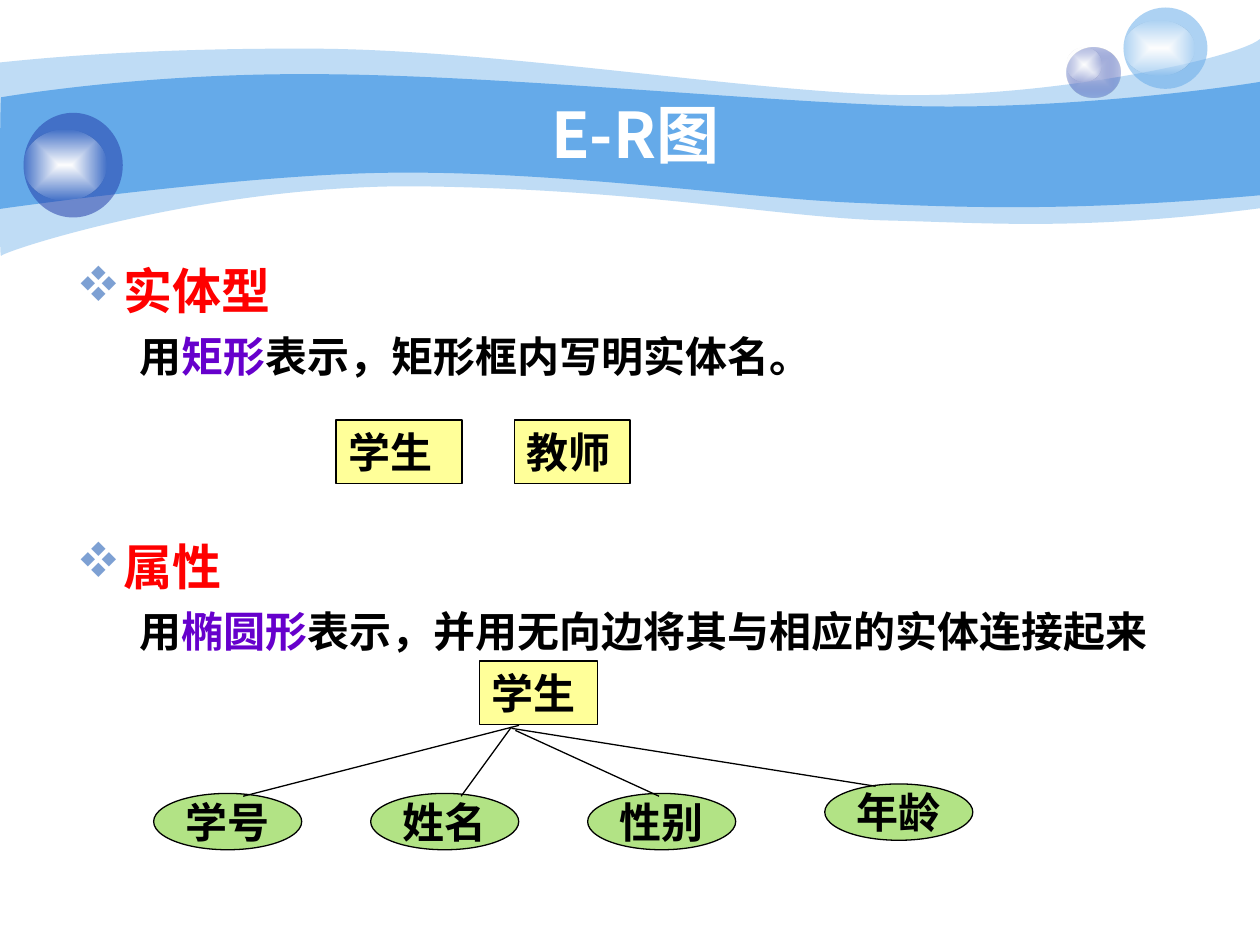
from dataclasses import dataclass

from lxml import etree
from pptx import Presentation
from pptx.dml.color import RGBColor
from pptx.enum.shapes import MSO_CONNECTOR, MSO_SHAPE
from pptx.enum.text import MSO_ANCHOR, PP_ALIGN
from pptx.oxml.ns import qn
from pptx.util import Pt

RECT, OVAL = MSO_SHAPE.RECTANGLE, MSO_SHAPE.OVAL
LINE = MSO_CONNECTOR.STRAIGHT
MIDDLE, TOP = MSO_ANCHOR.MIDDLE, MSO_ANCHOR.TOP
LEFT, CENTER = PP_ALIGN.LEFT, PP_ALIGN.CENTER


@dataclass
class Theme:
    font: str = "Noto Sans CJK SC"
    title: int = 36
    head: int = 28
    body: int = 24
    sky: str = "65AAE9"
    navy: str = "233DA9"
    mist: str = "C7CEE9"
    white: str = "FFFFFF"
    black: str = "000000"
    red: str = "FF0000"
    violet: str = "6600CC"
    bullet: str = "7DA0D3"
    entity: str = "FFFF99"
    trait: str = "B2E385"


def add(parent, tag, **attrs):
    return etree.SubElement(parent, qn(tag), attrs)


class Deck:
    def __init__(self, prs, theme):
        self.theme = theme
        self.slide = prs.slides.add_slide(prs.slide_layouts[5])
        self.shapes = self.slide.shapes

    def style(self, run, size, color):
        font = run.font
        font.name, font.size, font.bold = self.theme.font, Pt(size), True
        font.color.rgb = RGBColor.from_string(color)
        add(run._r.get_or_add_rPr(), "a:ea", typeface=self.theme.font)

    def paint(self, shape, color, alpha=100):
        shape.shadow.inherit = False
        shape.line.fill.background()
        shape.fill.solid()
        shape.fill.fore_color.rgb = RGBColor.from_string(color)
        if alpha < 100:
            tint = shape._element.spPr.find(qn("a:solidFill"))[0]
            add(tint, "a:alpha", val=str(alpha * 1000))

    def wave(self, start, parts, color, alpha=100):
        """Closed outline: six numbers make a cubic curve, two a line."""
        form = self.shapes.build_freeform(*map(Pt, start), scale=1.0)
        form.add_line_segments([tuple(map(Pt, p[-2:])) for p in parts])
        shape = form.convert_to_shape()
        steps = list(shape._element.spPr.iter(qn("a:lnTo")))
        for step, part in zip(steps, parts):
            if len(part) == 6:
                bend = etree.Element(qn("a:cubicBezTo"))
                for x, y in zip(part[::2], part[1::2]):
                    add(bend, "a:pt", x=str(Pt(x) - shape.left),
                        y=str(Pt(y) - shape.top))
                step.getparent().replace(step, bend)
        self.paint(shape, color, alpha)

    def oval(self, box, color, alpha=100):
        shape = self.shapes.add_shape(OVAL, *map(Pt, box))
        self.paint(shape, color, alpha)
        return shape

    def glow(self, box, inner, outer, alpha):
        """Oval whose colour fades from the centre outwards."""
        shape = self.oval(box, inner)
        props = shape._element.spPr
        grad = etree.Element(qn("a:gradFill"), rotWithShape="1")
        stops = add(grad, "a:gsLst")
        add(add(stops, "a:gs", pos="0"), "a:srgbClr", val=inner)
        rim = add(add(stops, "a:gs", pos="100000"), "a:srgbClr", val=outer)
        add(rim, "a:alpha", val=str(alpha * 1000))
        way = add(grad, "a:path", path="rect")
        half = "50000"
        add(way, "a:fillToRect", l=half, t=half, r=half, b=half)
        props.replace(props.find(qn("a:solidFill")), grad)

    def title(self, text, box):
        shape = self.shapes.title
        shape.left, shape.top, shape.width, shape.height = map(Pt, box)
        self.shapes._spTree.append(shape._element)  # in front of the waves
        frame = shape.text_frame
        frame.text = text
        frame.vertical_anchor = MIDDLE
        para = frame.paragraphs[0]
        para.alignment = CENTER
        self.style(para.runs[0], self.theme.title, self.theme.white)

    def outline(self, box, topics, gap):
        """Bulleted heads, each with one line of coloured parts below."""
        th = self.theme
        frame = self.shapes.add_textbox(*map(Pt, box)).text_frame
        frame.word_wrap, frame.vertical_anchor = True, TOP
        for i, (head, parts) in enumerate(topics):
            para = frame.add_paragraph() if i else frame.paragraphs[0]
            para.text = head
            para.space_before = Pt(gap if i else 0)
            props = para._p.get_or_add_pPr()
            props.set("marL", str(Pt(27)))
            props.set("indent", str(Pt(-27)))
            add(add(props, "a:buClr"), "a:srgbClr", val=th.bullet)
            add(props, "a:buFont", typeface="Wingdings", charset="2")
            add(props, "a:buChar", char="v")
            self.style(para.runs[0], th.head, th.red)

            para = frame.add_paragraph()
            para.space_before = Pt(6)
            props = para._p.get_or_add_pPr()
            props.set("marL", str(Pt(58)))
            props.set("indent", str(Pt(-22)))
            for text, color in parts:
                run = para.add_run()
                run.text = text
                self.style(run, th.body, color)

    def node(self, kind, text, box, color, align):
        th = self.theme
        shape = self.shapes.add_shape(kind, *map(Pt, box))
        self.paint(shape, color)
        shape.line.color.rgb = RGBColor.from_string(th.black)
        shape.line.width = Pt(0.75)
        frame = shape.text_frame
        frame.text = text
        frame.word_wrap, frame.vertical_anchor = False, MIDDLE
        frame.paragraphs[0].alignment = align
        self.style(frame.paragraphs[0].runs[0], th.body, th.black)

    def entity(self, text, x, y, width):
        self.node(RECT, text, (x, y, width, 36.3), self.theme.entity, LEFT)

    def trait(self, text, x, y):
        self.node(OVAL, text, (x, y, 84.6, 32.2), self.theme.trait, CENTER)

    def edge(self, x1, y1, x2, y2):
        line = self.shapes.add_connector(LINE, *map(Pt, (x1, y1, x2, y2)))
        line.line.color.rgb = RGBColor.from_string(self.theme.black)
        line.line.width = Pt(0.75)
        add(line._element.spPr, "a:effectLst")


def main():
    prs = Presentation()
    prs.slide_width, prs.slide_height = Pt(720), Pt(540)
    th = Theme()
    deck = Deck(prs, th)

    # Banner waves
    deck.wave((0, 35.7), [
        (17, 34, 77, 27.4, 178, 27.8), (278, 28, 414, 50.4, 503, 54),
        (592, 57.6, 706, 34, 720, 22.3), (720, 119),
        (618, 132, 567, 127.4, 507.6, 126), (448, 124.6, 371, 108.7, 247, 106.6),
        (124, 103.7, 3, 143, 0.7, 146.2), (-0.7, 150, 0, 54, 0, 35.7)],
        th.sky, 41)
    deck.wave((0.7, 55.6), [
        (1.4, 55.6, 79, 41.8, 178.6, 42.4), (278, 42.5, 428, 57.6, 517, 60.5),
        (605.5, 63.4, 703, 49.7, 720, 46.8), (720, 111.6),
        (614, 121, 551, 118.8, 491, 116), (431, 113.8, 322, 98, 228, 98.7),
        (146, 98.7, -1.4, 119.5, -0.7, 119.5), (0, 119.5, 0, 55.6, 0.7, 55.6)],
        th.sky)

    # Bubbles with their highlights
    deck.glow((609.5, 27, 30.5, 29), th.mist, th.navy, 31)
    deck.glow((609.5, 27, 20, 19.5), th.white, th.white, 0)
    deck.oval((642, 4.3, 48, 46.5), th.sky, 53)
    deck.glow((642, 12, 40.5, 31), th.white, th.white, 0)
    deck.oval((13.5, 64.5, 56.7, 59.8), th.navy, 53)
    deck.glow((13.5, 74, 47.5, 40.5), th.white, th.white, 0)

    # Title and text
    deck.title("E-R图", (72, 54, 582, 44.6))
    deck.outline((36.7, 145.5, 648, 354), [
        ("实体型", [("用", th.black), ("矩形", th.violet),
                 ("表示，矩形框内写明实体名。", th.black)]),
        ("属性", [("用", th.black), ("椭圆形", th.violet),
                ("表示，并用无向边将其与相应的实体连接起来", th.black)]),
    ], gap=89)

    # Sample entities
    deck.entity("学生", 192, 240, 72)
    deck.entity("教师", 294, 240, 66)

    # Entity with its attributes
    deck.entity("学生", 274, 377.7, 67.5)
    for i, name in enumerate(("学号", "姓名", "性别")):
        deck.trait(name, 87.8 + 124 * i, 453.4)
    deck.trait("年龄", 471.3, 448)
    for ends in ((296.6, 414.5, 139, 455), (292.3, 415.4, 263.5, 455),
                 (294.5, 417.4, 376.6, 455), (292.3, 416.2, 500.4, 449.3)):
        deck.edge(*ends)

    prs.save("out.pptx")


if __name__ == "__main__":
    main()
